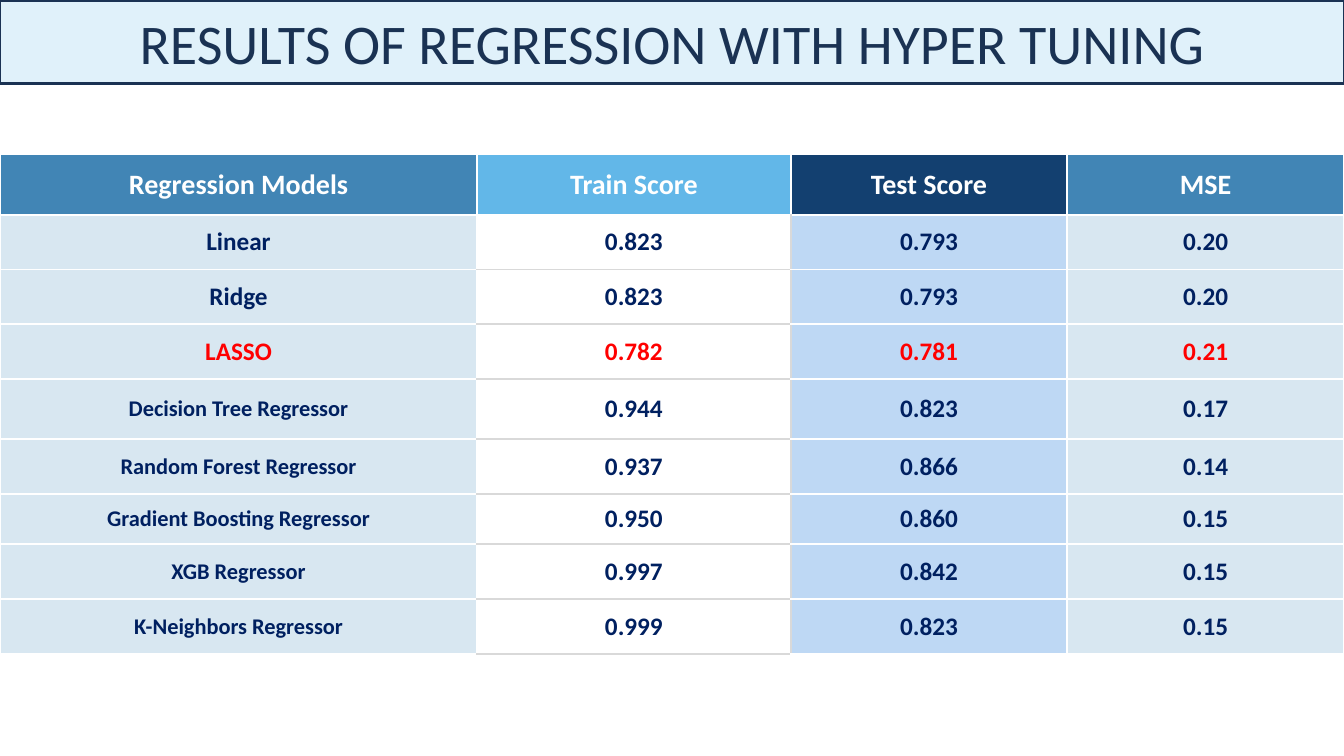
from lxml import etree
from pptx import Presentation
from pptx.dml.color import RGBColor
from pptx.enum.shapes import MSO_SHAPE
from pptx.enum.text import MSO_ANCHOR, PP_ALIGN
from pptx.oxml.ns import qn
from pptx.util import Cm, Pt

RECTANGLE = MSO_SHAPE.RECTANGLE
MIDDLE = MSO_ANCHOR.MIDDLE
CENTER = PP_ALIGN.CENTER

TITLE = "RESULTS OF REGRESSION WITH HYPER TUNING"
HEADERS = ("Regression Models", "Train Score", "Test Score", "MSE")
RESULTS = [
    ("Linear", "0.823", "0.793", "0.20"),
    ("Ridge", "0.823", "0.793", "0.20"),
    ("LASSO", "0.782", "0.781", "0.21"),
    ("Decision Tree Regressor", "0.944", "0.823", "0.17"),
    ("Random Forest Regressor", "0.937", "0.866", "0.14"),
    ("Gradient Boosting Regressor", "0.950", "0.860", "0.15"),
    ("XGB Regressor", "0.997", "0.842", "0.15"),
    ("K-Neighbors Regressor", "0.999", "0.823", "0.15"),
]
HIGHLIGHTED = "LASSO"
TRAIN, TEST = 1, 2

SLIDE_W, SLIDE_H = 33.86, 19.05
TABLE_TOP = 3.89
COL_WIDTHS = (12.02, 7.9, 6.97, 6.97)
ROW_HEIGHTS = (1.52, 1.38, 1.38, 1.38, 1.52, 1.38, 1.27, 1.38, 1.38)

THEME = {
    "font": "Calibri",
    "title_size": 40, "header_size": 20, "body_size": 18, "long_name_size": 16,
    "title_fill": "E0F1FA", "title_ink": "1A3253",
    "header_fills": ("4185B5", "62B7E8", "134070", "4185B5"),
    "body_fills": ("D8E7F1", "FFFFFF", "BED8F4", "D8E7F1"),
    "header_ink": "FFFFFF", "body_ink": "002060", "highlight_ink": "FF0000",
    "border": "FFFFFF", "train_border": "D9D9D9", "border_width": 1.5,
}


def style_paragraph(p, size, color, bold=False):
    p.alignment = CENTER
    p.font.name = THEME["font"]
    p.font.size = Pt(size)
    p.font.bold = bold
    p.font.color.rgb = RGBColor.from_string(color)


def set_borders(cell, colors):
    """Draw the left, right, top and bottom borders, in that order."""
    tc_pr = cell._tc.get_or_add_tcPr()
    for i, (side, color) in enumerate(zip("LRTB", colors)):
        ln = etree.Element(qn("a:ln" + side), w=str(Pt(THEME["border_width"])))
        fill = etree.SubElement(ln, qn("a:solidFill"))
        etree.SubElement(fill, qn("a:srgbClr"), val=color)
        tc_pr.insert(i, ln)


def border_colors(row, col):
    white, grey = THEME["border"], THEME["train_border"]
    if row and col == TRAIN:
        return white, grey, white if row == 1 else grey, grey
    if row and col == TEST:
        return grey, white, white, white
    return (white,) * 4


def text_style(row, col, name):
    """Return the size and colour of a cell's text."""
    if row == 0:
        return THEME["header_size"], THEME["header_ink"]
    long_name = col == 0 and name.endswith("Regressor")
    size = THEME["long_name_size" if long_name else "body_size"]
    return size, THEME["highlight_ink" if name == HIGHLIGHTED else "body_ink"]


def add_results_table(slide):
    rows = [HEADERS] + RESULTS
    table = slide.shapes.add_table(
        len(rows), len(HEADERS), Cm(0), Cm(TABLE_TOP),
        Cm(sum(COL_WIDTHS)), Cm(sum(ROW_HEIGHTS))).table
    for column, width in zip(table.columns, COL_WIDTHS):
        column.width = Cm(width)
    for r, values in enumerate(rows):
        table.rows[r].height = Cm(ROW_HEIGHTS[r])
        fills = THEME["body_fills" if r else "header_fills"]
        for c, value in enumerate(values):
            cell = table.cell(r, c)
            cell.text = value
            cell.vertical_anchor = MIDDLE
            cell.margin_left = cell.margin_right = 0
            cell.margin_top = cell.margin_bottom = 0
            cell.fill.solid()
            cell.fill.fore_color.rgb = RGBColor.from_string(fills[c])
            set_borders(cell, border_colors(r, c))
            size, color = text_style(r, c, values[0])
            style_paragraph(cell.text_frame.paragraphs[0], size, color, bold=True)


def add_title(slide):
    sp = slide.shapes.add_shape(RECTANGLE, Cm(0), Cm(0.03), Cm(SLIDE_W), Cm(2.08))
    sp.shadow.inherit = False
    sp.fill.solid()
    sp.fill.fore_color.rgb = RGBColor.from_string(THEME["title_fill"])
    sp.line.color.rgb = RGBColor.from_string(THEME["title_ink"])
    sp.line.width = Pt(1.75)
    tf = sp.text_frame
    tf.word_wrap = True
    tf.vertical_anchor = MIDDLE
    p = tf.paragraphs[0]
    p.text = TITLE
    p.space_before = Pt(10)
    style_paragraph(p, THEME["title_size"], THEME["title_ink"])


def main():
    prs = Presentation()
    prs.slide_width, prs.slide_height = Cm(SLIDE_W), Cm(SLIDE_H)
    slide = prs.slides.add_slide(prs.slide_layouts[6])
    add_results_table(slide)
    add_title(slide)
    prs.save("out.pptx")


if __name__ == "__main__":
    main()
